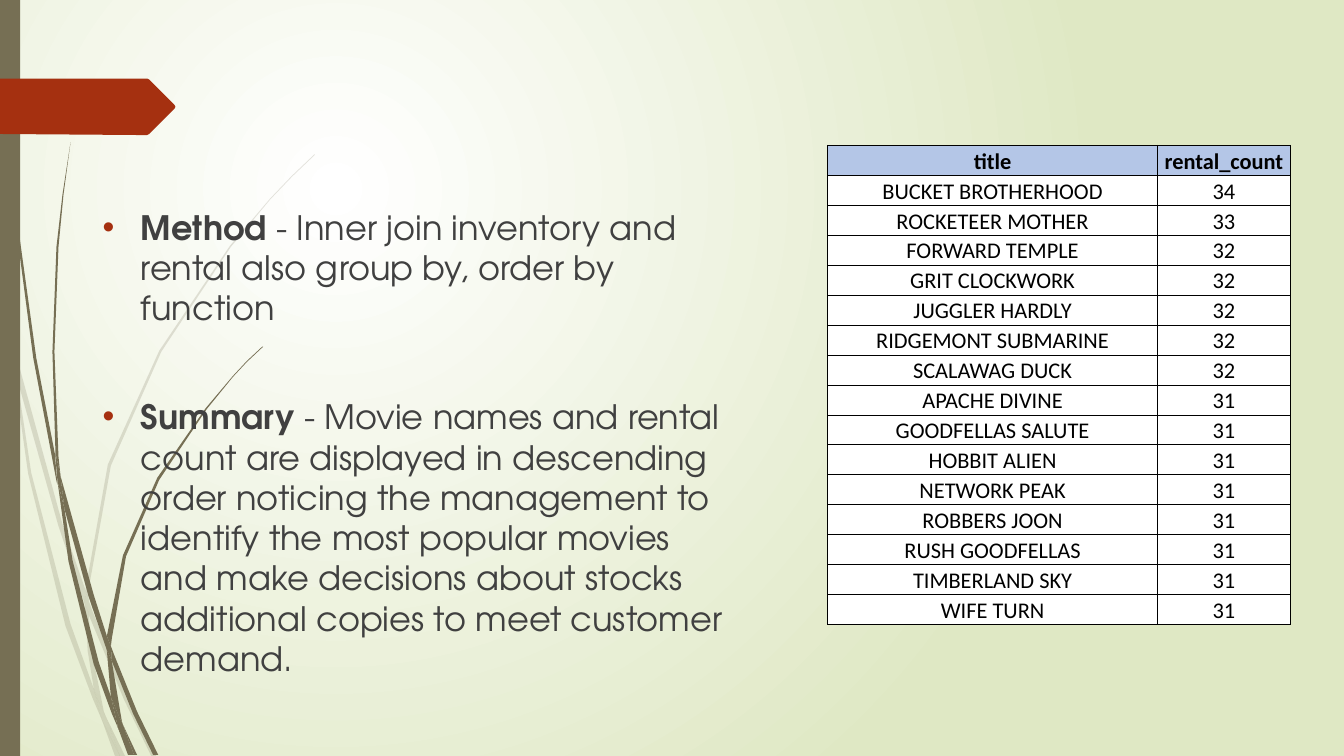
import pptx
import pptx.dml.color
import pptx.enum.shapes
import pptx.enum.text
import pptx.oxml
import pptx.oxml.ns
import pptx.util
from dataclasses import dataclass

PX = 9144  # EMU per px, 100 px to the inch
NS = pptx.oxml.ns.nsdecls("a")
qn = pptx.oxml.ns.qn


@dataclass(frozen=True)
class Theme:
    glow: str = "FFFFFF"
    edge: str = "DFE8C4"
    grass: str = "766F54"
    accent: str = "A53010"
    body: str = "404040"
    ink: str = "000000"
    header: str = "B4C6E7"
    cell: str = "FFFFFF"
    body_font: str = "TeX Gyre Adventor"
    table_font: str = "Calibri"
    body_size: int = 24
    table_size: int = 16


T = Theme()

# Outlines of the grass blades, in px
PALE_BLADES = [
    [(11, 350), (9, 322), (0, 282), (0, 299), (10, 344)],
    [(58, 522), (84, 599), (85, 586), (62, 520), (14, 345), (17, 376)],
    [(92, 607), (88, 596), (88, 610), (123, 694), (150, 750), (155, 750), (127, 692)],
    [(119, 750), (124, 750), (105, 711)],
    [(93, 683), (70, 619), (31, 469), (17, 376), (11, 350), (28, 470), (65, 621),
     (92, 693), (101, 714), (99, 707)],
    [(84, 599), (87, 646), (93, 683), (96, 692), (105, 711), (103, 706), (91, 646),
     (88, 610), (88, 608)],
    [(88, 584), (110, 462), (160, 349), (229, 245), (268, 198), (290, 175), (312, 154),
     (312, 153), (289, 175), (268, 197), (228, 244), (158, 348), (107, 461), (85, 584),
     (85, 586), (88, 596)],
    [(101, 714), (114, 750), (119, 750)],
    [(88, 608), (88, 610), (88, 596), (85, 586), (84, 599)],
    [(96, 692), (93, 683), (99, 707), (101, 714), (119, 750), (105, 711)],
]
DARK_BLADES = [
    [(7, 110), (17, 233), (33, 355), (56, 477), (57, 481), (55, 457), (55, 453),
     (36, 355), (19, 232), (8, 109), (5, 48), (4, 0), (3, 0), (4, 48)],
    [(88, 592), (106, 645), (106, 631), (93, 590), (60, 472), (64, 505)],
    [(113, 649), (110, 641), (111, 656), (132, 708), (152, 749), (157, 749), (136, 706)],
    [(110, 691), (98, 657), (72, 556), (64, 505), (57, 477), (68, 557), (93, 659),
     (111, 708), (117, 722), (116, 717)],
    [(60, 472), (58, 453), (54, 349), (58, 245), (63, 193), (70, 141), (62, 193),
     (56, 245), (52, 349), (55, 449)],
    [(133, 749), (136, 749), (122, 719)],
    [(57, 477), (64, 505), (60, 472), (55, 449), (55, 453)],
    [(111, 633), (125, 552), (158, 476), (205, 406), (231, 374), (245, 359), (261, 344),
     (260, 344), (245, 358), (231, 373), (204, 405), (156, 474), (122, 551), (106, 631),
     (110, 641)],
    [(117, 722), (127, 749), (131, 749)],
    [(106, 645), (110, 691), (116, 706), (122, 719), (121, 716), (111, 656), (109, 651)],
    [(106, 645), (109, 651), (111, 656), (110, 641), (106, 631), (106, 633)],
    [(116, 706), (110, 691), (116, 717), (117, 722), (130, 749), (133, 749), (122, 719)],
]
RIBBON = [(173, 108), (148, 133), (146, 134), (136, 134), (0, 133), (0, 78),
          (146, 78), (148, 79), (173, 104), (174, 106)]

POINTS = [
    ("Method", " - Inner join inventory and rental also group by, order by function"),
    ("Summary", " - Movie names and rental count are displayed in descending order "
     "noticing the management to identify the most popular movies and make decisions "
     "about stocks additional copies to meet customer demand."),
]
RENTALS = [
    ("title", "rental_count"),
    ("BUCKET BROTHERHOOD", 34), ("ROCKETEER MOTHER", 33), ("FORWARD TEMPLE", 32),
    ("GRIT CLOCKWORK", 32), ("JUGGLER HARDLY", 32), ("RIDGEMONT SUBMARINE", 32),
    ("SCALAWAG DUCK", 32), ("APACHE DIVINE", 31), ("GOODFELLAS SALUTE", 31),
    ("HOBBIT ALIEN", 31), ("NETWORK PEAK", 31), ("ROBBERS JOON", 31),
    ("RUSH GOODFELLAS", 31), ("TIMBERLAND SKY", 31), ("WIFE TURN", 31),
]


def px(*lengths):
    return [pptx.util.Emu(n * PX) for n in lengths]


def rgb(color):
    return pptx.dml.color.RGBColor.from_string(color)


def paint(sp, color, opacity=100):
    sp.shadow.inherit = False
    sp.line.fill.background()
    sp.fill.solid()
    sp.fill.fore_color.rgb = rgb(color)
    if opacity < 100:
        clr = sp.element.spPr.find(".//" + qn("a:srgbClr"))
        clr.append(pptx.oxml.parse_xml(f'<a:alpha {NS} val="{opacity * 1000}"/>'))


def add_background(s):
    fill = s.background.fill
    fill.gradient()
    for stop, color in zip(fill.gradient_stops, (T.glow, T.edge)):
        stop.color.rgb = rgb(color)
    first, last = fill.gradient_stops
    first.position, last.position = 0, 1
    grad = s.element.find(".//" + qn("a:gradFill"))
    grad.remove(grad.find(qn("a:lin")))
    grad.append(pptx.oxml.parse_xml(
        f'<a:path {NS} path="circle"><a:fillToRect l="50000" t="50000" '
        'r="100000" b="100000"/></a:path>'))


def add_outline(s, points, color, opacity=100):
    builder = s.shapes.build_freeform(*points[0], scale=PX)
    builder.add_line_segments(points[1:], close=True)
    paint(builder.convert_to_shape(), color, opacity)


def add_bar(s, x, y, w, h, color):
    rect = pptx.enum.shapes.MSO_SHAPE.RECTANGLE
    paint(s.shapes.add_shape(rect, *px(x, y, w, h)), color)


def add_bullets(s, x, y, w, h, points):
    tf = s.shapes.add_textbox(*px(x, y, w, h)).text_frame
    tf.word_wrap = True
    for i, (term, detail) in enumerate(points):
        p = tf.add_paragraph() if i else tf.paragraphs[0]
        p.space_before = pptx.util.Pt(49 if i else 10)
        p.font.name, p.font.size = T.body_font, pptx.util.Pt(T.body_size)
        p.font.color.rgb = rgb(T.body)
        for text, bold in ((term, True), (detail, False)):
            r = p.add_run()
            r.text, r.font.bold = text, bold
        # Bullet and hanging indent
        pPr = p._p.get_or_add_pPr()
        pPr.set("marL", str(38 * PX))
        pPr.set("indent", str(-38 * PX))
        bullet = (f'<a:buClr {NS}><a:srgbClr val="{T.accent}"/></a:buClr>',
                  f'<a:buFont {NS} typeface="Arial"/>', f'<a:buChar {NS} char="•"/>')
        at = pPr.index(pPr.find(qn("a:defRPr")))
        for n, xml in enumerate(bullet):
            pPr.insert(at + n, pptx.oxml.parse_xml(xml))


def style_cell(cell, text, header):
    cell.margin_left, cell.margin_right, cell.margin_top, cell.margin_bottom = px(1, 1, 1, 0)
    cell.vertical_anchor = pptx.enum.text.MSO_ANCHOR.BOTTOM
    cell.text = str(text)
    p = cell.text_frame.paragraphs[0]
    p.alignment = pptx.enum.text.PP_ALIGN.CENTER
    p.font.name, p.font.size = T.table_font, pptx.util.Pt(T.table_size)
    p.font.bold, p.font.color.rgb = header, rgb(T.ink)
    # Borders come before the fill
    tcPr = cell._tc.get_or_add_tcPr()
    for side in ("lnL", "lnR", "lnT", "lnB"):
        tcPr.append(pptx.oxml.parse_xml(
            f'<a:{side} {NS} w="6350"><a:solidFill><a:srgbClr val="{T.ink}"/>'
            f'</a:solidFill></a:{side}>'))
    cell.fill.solid()
    cell.fill.fore_color.rgb = rgb(T.header if header else T.cell)


def add_grid(s, x, y, widths, h, rows):
    frame = s.shapes.add_table(len(rows), len(widths), *px(x, y, sum(widths), h))
    table = frame.table
    table.first_row = table.horz_banding = False
    for column, width in zip(table.columns, px(*widths)):
        column.width = width
    for i, row in enumerate(rows):
        for j, text in enumerate(row):
            style_cell(table.cell(i, j), text, header=i == 0)


def main():
    prs = pptx.Presentation()
    prs.slide_width, prs.slide_height = px(1333, 750)
    s = prs.slides.add_slide(prs.slide_layouts[6])

    # Backdrop: grass, side bar and ribbon
    add_background(s)
    for blade in PALE_BLADES:
        add_outline(s, blade, T.grass, opacity=20)
    for blade in DARK_BLADES:
        add_outline(s, blade, T.grass)
    add_bar(s, 0, 0, 20, 750, T.grass)
    add_outline(s, RIBBON, T.accent)

    # Content
    add_bullets(s, 92, 200, 653, 476, POINTS)
    add_grid(s, 821, 144, (327, 132), 476, RENTALS)
    prs.save("out.pptx")


if __name__ == "__main__":
    main()
